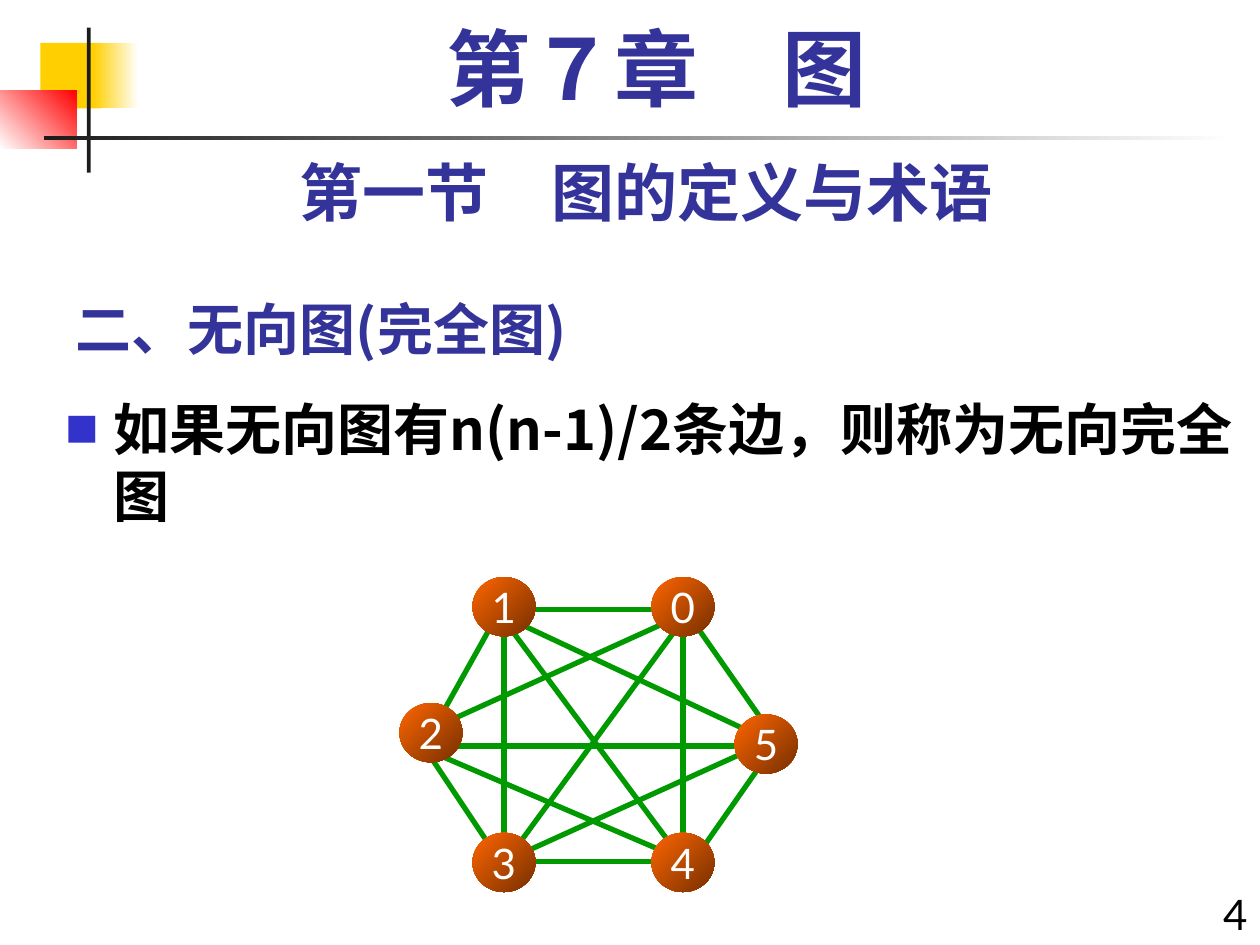
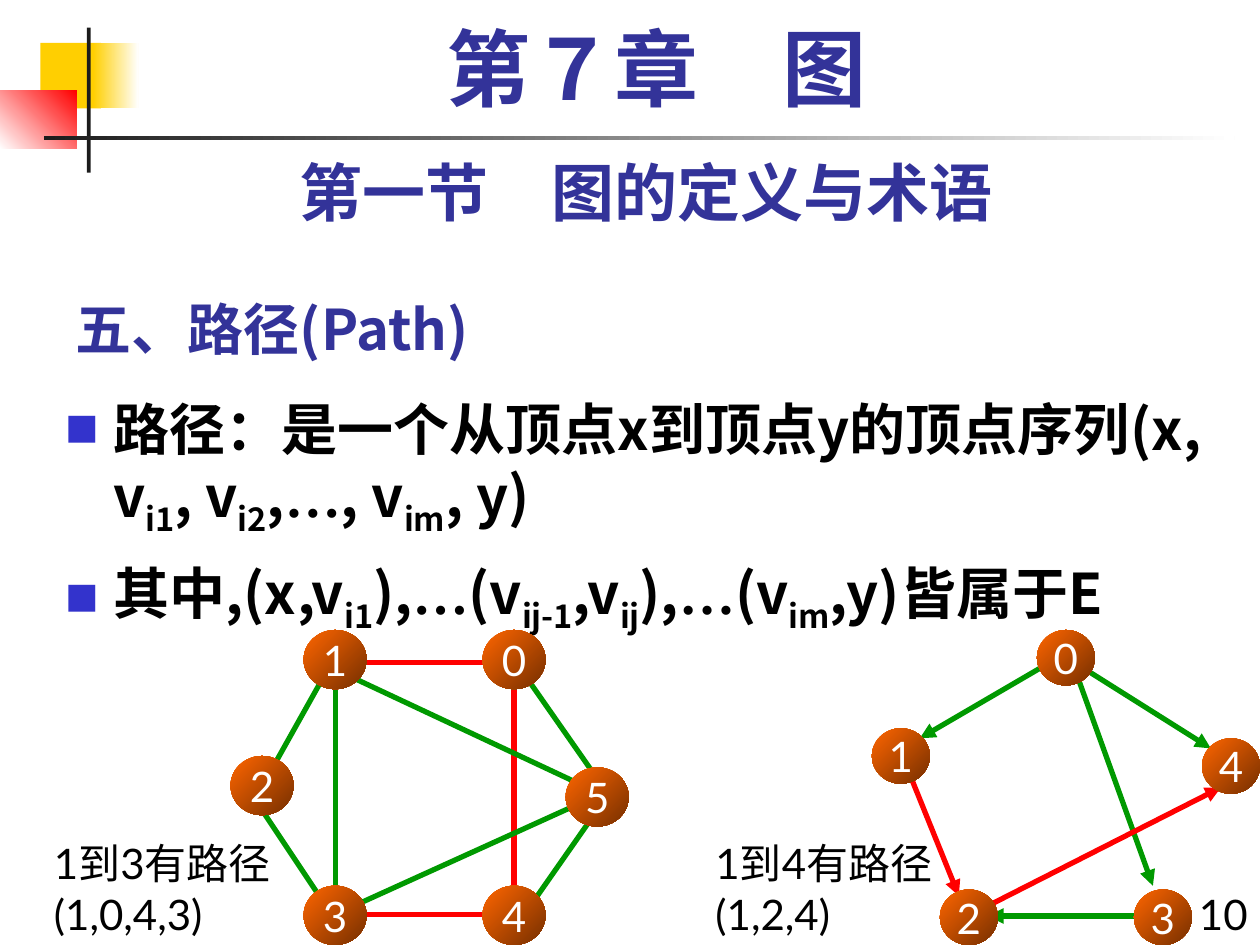
"""Build two lecture slides about undirected complete graphs and paths."""
import pptx
import pptx.util
import pptx.dml.color
import pptx.enum.shapes
import pptx.enum.text
import pptx.oxml.ns
from lxml import etree

Inches = pptx.util.Inches
Pt = pptx.util.Pt
RGBColor = pptx.dml.color.RGBColor
PP_ALIGN = pptx.enum.text.PP_ALIGN
MSO_ANCHOR = pptx.enum.text.MSO_ANCHOR
MSO_SHAPE = pptx.enum.shapes.MSO_SHAPE
qn = pptx.oxml.ns.qn

INDIGO = RGBColor(0x33, 0x33, 0x99)
BLACK = RGBColor(0, 0, 0)
WHITE = RGBColor(0xFF, 0xFF, 0xFF)
YELLOW = RGBColor(0xFF, 0xCF, 0x01)
RED = RGBColor(0xFF, 0, 0)
CHARCOAL = RGBColor(0x1C, 0x1C, 0x1C)
GREEN = RGBColor(0, 0x99, 0)
ORANGE = RGBColor(0xFF, 0x66, 0)
BROWN = RGBColor(0x76, 0x2F, 0)

CJK_FONT = "Noto Sans CJK SC"
LABEL_FONT = "Lato"
SERIF_FONT = "Times New Roman"

ORNAMENTS = [
    ((0.32, 0.34, 0.48, 0.52), (YELLOW,), 0),
    ((0.74, 0.34, 0.36, 0.52), (YELLOW, WHITE), 0),
    ((0, 0.72, 0.61, 0.46), (WHITE, RED), 45),
    ((0.69, 0.22, 0.03, 1.15), (CHARCOAL,), 0),
    ((0.35, 1.08, 9.45, 0.03), (CHARCOAL, WHITE), 0),
]

HEXAGON_VERTEX_SIZE = (0.5, 0.47)
HEXAGON_VERTICES = {
    "0": (2, 0), "1": (0.58, 0), "2": (0, 1),
    "3": (0.58, 2.03), "4": (2, 2.03), "5": (2.66, 1.09),
}
HEXAGON_EDGES = {
    "01": (2.08, 0.26, 1.08, 0.26),
    "04": (2.25, 0.43, 2.25, 2.1),
    "05": (2.33, 0.35, 2.91, 1.18),
    "12": (0.75, 0.35, 0.33, 1.1),
    "13": (0.83, 2.18, 0.83, 0.43),
    "15": (2.83, 1.25, 0.91, 0.35),
    "23": (0.75, 2.18, 0.25, 1.43),
    "34": (2.16, 2.26, 0.91, 2.26),
    "35": (2.83, 1.35, 1, 2.18),
    "45": (2.91, 1.43, 2.33, 2.26),
    "14": (2.25, 2.25, 0.83, 0.34),
    "03": (0.91, 2.17, 2.25, 0.34),
    "02": (2.16, 0.34, 0.33, 1.17),
    "25": (2.83, 1.34, 0.33, 1.34),
    "24": (2.08, 2.17, 0.33, 1.42),
}
CYCLE_EDGES = ["01", "04", "05", "12", "13", "15", "23", "34", "35", "45"]

DIGRAPH_VERTEX_SIZE = (0.46, 0.44)
DIGRAPH_VERTICES = {
    "0": (1.31, 0), "1": (0, 0.78), "2": (0.54, 2.06),
    "3": (2.08, 2.06), "4": (2.62, 0.86),
}
DIGRAPH_EDGES = {
    "04": (1.69, 0.31, 2.69, 0.94),
    "12": (0.31, 1.17, 0.69, 2.11),
    "01": (1.46, 0.23, 0.38, 0.86),
    "03": (1.61, 0.31, 2.23, 2.03),
    "32": (2.08, 2.27, 0.92, 2.27),
    "24": (0.92, 2.19, 2.77, 1.25),
}


def paint(shape, colors, angle=0):
    """Give a shape a flat fill or a two-colour gradient, without outline."""
    shape.shadow.inherit = False
    shape.line.fill.background()
    if len(colors) == 1:
        shape.fill.solid()
        shape.fill.fore_color.rgb = colors[0]
        return
    shape.fill.gradient()
    shape.fill.gradient_angle = angle
    for stop, color in zip(shape.fill.gradient_stops, colors):
        stop.color.rgb = color


def style_paragraph(paragraph, font, size, color, bold=False, align=PP_ALIGN.LEFT):
    """Set alignment and font for Latin and East Asian text."""
    paragraph.alignment = align
    paragraph.font.size = Pt(size)
    paragraph.font.bold = bold
    paragraph.font.color.rgb = color
    paragraph.font.name = font
    defaults = paragraph._p.pPr.find(qn("a:defRPr"))
    etree.SubElement(defaults, qn("a:ea"), typeface=CJK_FONT)


def add_caption(slide, box, text, font, size, color, **style):
    """Add a wrapped text box holding one paragraph."""
    frame = slide.shapes.add_textbox(*map(Inches, box)).text_frame
    frame.word_wrap = True
    frame.text = text
    style_paragraph(frame.paragraphs[0], font, size, color, **style)
    return frame.paragraphs[0]


def add_bullet_mark(paragraph):
    """Put a small blue square before a hanging paragraph."""
    properties = paragraph._p.pPr
    properties.set("marL", str(Inches(0.38)))
    properties.set("indent", str(-Inches(0.38)))
    defaults = properties.find(qn("a:defRPr"))
    bullet_color = etree.Element(qn("a:buClr"))
    etree.SubElement(bullet_color, qn("a:srgbClr"), val="3333CC")
    defaults.addprevious(bullet_color)
    for tag, attributes in [
        ("a:buSzPct", {"val": "60000"}),
        ("a:buFont", {"typeface": CJK_FONT}),
        ("a:buChar", {"char": "■"}),
    ]:
        defaults.addprevious(etree.Element(qn(tag), attributes))


def add_statements(slide, height, statements):
    """Add bulleted statements; underscores enclose subscripts."""
    box = map(Inches, (0.42, 3.08, 9.58, height))
    frame = slide.shapes.add_textbox(*box).text_frame
    frame.word_wrap = True
    for index, statement in enumerate(statements):
        paragraph = frame.add_paragraph() if index else frame.paragraphs[0]
        for position, piece in enumerate(statement.split("_")):
            for part in filter(None, piece.partition("…")):
                run = paragraph.add_run()
                run.text = part
                if part == "…":
                    run.font.name = SERIF_FONT
                if position % 2:
                    run._r.get_or_add_rPr().set("baseline", "-25000")
        if index:
            paragraph.space_before = Pt(12)
        style_paragraph(paragraph, CJK_FONT, 32, BLACK, bold=True)
        add_bullet_mark(paragraph)


def add_edge(slide, origin, ends, color, directed):
    """Draw one graph edge, with an arrowhead if directed."""
    left, top = origin
    x1, y1, x2, y2 = ends
    edge = slide.shapes.add_connector(
        pptx.enum.shapes.MSO_CONNECTOR.STRAIGHT,
        Inches(left + x1), Inches(top + y1), Inches(left + x2), Inches(top + y2))
    edge.line.color.rgb = color
    edge.line.width = Pt(3)
    if directed:
        etree.SubElement(edge.line._get_or_add_ln(), qn("a:tailEnd"), type="triangle")
    etree.SubElement(edge._element.spPr, qn("a:effectLst"))


def add_vertex(slide, origin, offset, size, label):
    """Draw one numbered vertex."""
    left, top = (start + shift for start, shift in zip(origin, offset))
    vertex = slide.shapes.add_shape(
        MSO_SHAPE.OVAL, Inches(left), Inches(top), *map(Inches, size))
    paint(vertex, (ORANGE, BROWN), 315)
    frame = vertex.text_frame
    frame.margin_left = frame.margin_right = 0
    frame.word_wrap = False
    frame.vertical_anchor = MSO_ANCHOR.MIDDLE
    frame.text = label
    style_paragraph(frame.paragraphs[0], LABEL_FONT, 24, WHITE, align=PP_ALIGN.CENTER)


def add_graph(slide, origin, vertices, size, edges, route=(), directed=False):
    """Draw the edges, with the route in red, and the vertices over them."""
    for name, ends in edges.items():
        add_edge(slide, origin, ends, RED if name in route else GREEN, directed)
    for label, offset in vertices.items():
        add_vertex(slide, origin, offset, size, label)


def add_lecture_slide(deck, topic, number):
    """Start a slide with ornaments, chapter, section, topic and number."""
    slide = deck.slides.add_slide(deck.slide_layouts[5])
    for box, colors, angle in ORNAMENTS:
        paint(slide.shapes.add_shape(MSO_SHAPE.RECTANGLE, *map(Inches, box)),
              colors, angle)
    title = slide.shapes.title
    title.left, title.top, title.width, title.height = map(
        Inches, (0.5, 2.17, 6.25, 0.75))
    title.text_frame.text = topic
    title.text_frame.vertical_anchor = MSO_ANCHOR.BOTTOM
    style_paragraph(title.text_frame.paragraphs[0], CJK_FONT, 32, INDIGO, bold=True)
    add_caption(slide, (9.33, 7, 0.67, 0.5), number, LABEL_FONT, 24, BLACK,
                align=PP_ALIGN.RIGHT)
    add_caption(slide, (0.5, 1.17, 9.25, 0.7), "第一节　图的定义与术语",
                LABEL_FONT, 36, INDIGO, bold=True, align=PP_ALIGN.CENTER)
    chapter = add_caption(slide, (0.67, 0.17, 9.08, 0.83), "第７章　图",
                          SERIF_FONT, 48, INDIGO, bold=True, align=PP_ALIGN.CENTER)
    chapter.line_spacing = 0.9
    return slide


def main():
    """Build and save the deck."""
    deck = pptx.Presentation()
    deck.slide_width, deck.slide_height = Inches(10), Inches(7.5)

    complete = add_lecture_slide(deck, "二、无向图(完全图)", "4")
    add_statements(complete, 2.75, ["如果无向图有n(n-1)/2条边，则称为无向完全图"])
    add_graph(complete, (3.17, 4.58), HEXAGON_VERTICES, HEXAGON_VERTEX_SIZE,
              HEXAGON_EDGES)

    path_slide = add_lecture_slide(deck, "五、路径(Path)", "10")
    add_statements(path_slide, 4.42, [
        "路径：是一个从顶点x到顶点y的顶点序列(x, v_i1_, v_i2_,…, v_im_, y)",
        "其中,(x,v_i1_),…(v_ij-1_,v_ij_),…(v_im_,y)皆属于E",
    ])
    add_graph(path_slide, (6.92, 5), DIGRAPH_VERTICES, DIGRAPH_VERTEX_SIZE,
              DIGRAPH_EDGES, route=("12", "24"), directed=True)
    add_graph(path_slide, (1.83, 5), HEXAGON_VERTICES, HEXAGON_VERTEX_SIZE,
              {name: HEXAGON_EDGES[name] for name in CYCLE_EDGES},
              route=("01", "04", "34"))
    for left, route_note in [(0.33, "1到3有路径(1,0,4,3)"), (5.58, "1到4有路径(1,2,4)")]:
        add_caption(path_slide, (left, 6.6, 2, 0.9), route_note, LABEL_FONT, 24, BLACK)

    deck.save("out.pptx")


if __name__ == "__main__":
    main()
